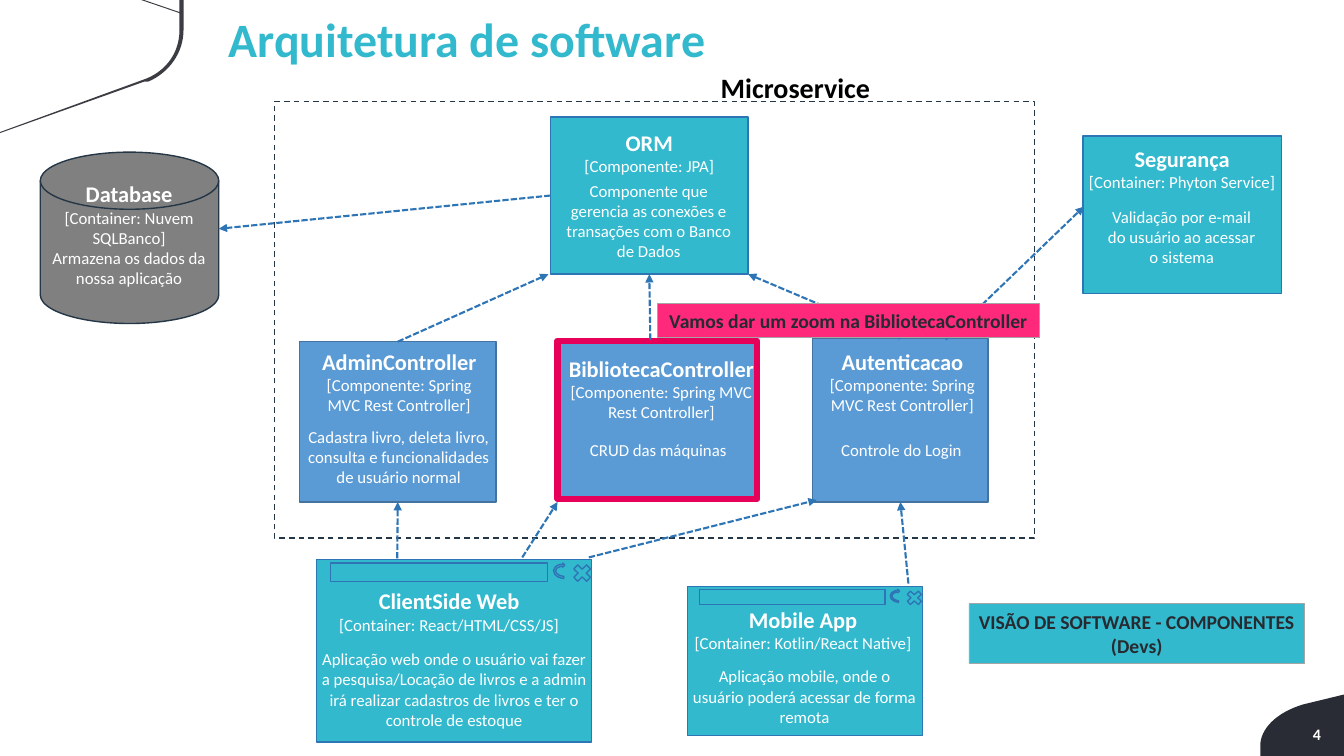
from dataclasses import dataclass
from typing import NamedTuple, Optional

from lxml.etree import SubElement
from pptx import Presentation
from pptx.dml.color import RGBColor
from pptx.enum.dml import MSO_LINE_DASH_STYLE as Dash
from pptx.enum.shapes import MSO_CONNECTOR, MSO_SHAPE as Preset
from pptx.enum.text import MSO_ANCHOR as Anchor, PP_ALIGN as Align
from pptx.oxml.ns import qn
from pptx.util import Inches, Pt

COLORS = {
    "teal": "32B9CD", "blue": "5B9BD5", "gray": "808080", "pink": "FF297B",
    "edge": "2E75B6", "blue edge": "43739E", "pink edge": "E6005A",
    "navy": "253746", "silver": "A5A5A5", "dark": "272A30",
    "corner": "292C34", "ribbon": "3B3D42", "white": "FFFFFF", "black": "000000",
}
CELL = Inches(0.1)  # the page is a grid of 133.3 columns by 75 rows
TOP, LEFT, BOTTOM = 0, 1, 2


class Point(NamedTuple):
    column: float
    row: float


class Area(NamedTuple):
    column: float
    row: float
    columns: float
    rows: float

    def share(self, x: float, y: float, width: float, height: float) -> "Area":
        """Area inside this one, given as shares of its size."""
        return Area(self.column + x * self.columns, self.row + y * self.rows,
                    width * self.columns, height * self.rows)


class Style(NamedTuple):
    size: float
    color: str = "white"
    bold: bool = False


class Line(NamedTuple):
    text: str
    style: Style


@dataclass
class Component:
    name: str
    technology: str
    detail: str
    panel: Area
    heading: Area
    body: Area
    fill: str = "teal"
    edge: str = "edge"
    edge_width: float = 1
    window: bool = False


@dataclass
class Arrow:
    start: Point
    end: Point
    source: Optional[tuple[str, int]] = None
    target: Optional[tuple[str, int]] = None


NAME, NOTE = Style(16, bold=True), Style(12)
LABEL = Style(14, "dark", True)
SPRING = "[Componente: Spring MVC Rest Controller]"

COMPONENTS = [
    Component("Segurança", "[Container: Phyton Service]",
              "Validação por e-mail do usuário ao acessar o sistema",
              Area(107.4, 13.5, 19.7, 15.6), Area(106.4, 13.9, 21.7, 5.7),
              Area(108.6, 20, 17.2, 7.1)),
    Component("ORM", "[Componente: JPA]",
              "Componente que gerencia as conexões e transações com o Banco de Dados",
              Area(54.6, 11.6, 19.6, 15.6), Area(52.9, 12.3, 23, 5.7),
              Area(55, 17.4, 18.7, 9.1)),
    Component("AdminController", SPRING,
              "Cadastra livro, deleta livro, consulta e funcionalidades de usuário normal",
              Area(29.7, 33.9, 19.5, 15.9), Area(30.6, 34, 18, 7.2),
              Area(29.3, 41.8, 20.5, 6.6), "blue", "blue edge"),
    Component("Autenticacao", SPRING, "Controle do Login",
              Area(80.6, 33.6, 17.4, 16.2), Area(80.1, 34, 18.8, 8.1),
              Area(80, 43.1, 18.8, 3.2), "blue", "blue edge"),
    Component("BibliotecaController", SPRING, "CRUD das máquinas",
              Area(55.3, 33.8, 19.8, 15.7), Area(54.9, 34.7, 21.4, 7.7),
              Area(54.6, 43.1, 21.4, 3), "blue", "pink edge", 4.5),
    Component("ClientSide Web", "[Container: React/HTML/CSS/JS]",
              "Aplicação web onde o usuário vai fazer a pesquisa/Locação de livros "
              "e a admin irá realizar cadastros de livros e ter o controle de estoque",
              Area(31.4, 55.5, 27.3, 18.1), Area(30.3, 57.8, 28.5, 4.6),
              Area(30.8, 63.9, 28.5, 7.4), window=True),
    Component("Mobile App", "[Container: Kotlin/React Native]",
              "Aplicação mobile, onde o usuário poderá acessar de forma remota",
              Area(68.2, 58.2, 23.3, 14.8), Area(66.6, 59.6, 26.1, 5.1),
              Area(67.7, 65.6, 24.2, 4.7), window=True),
]

ARROWS = [
    Arrow(Point(54.6, 19.4), Point(21.7, 22.7), source=("ORM", LEFT)),
    Arrow(Point(93.8, 33.7), Point(107.5, 20.5)),
    Arrow(Point(39.5, 33.9), Point(54.4, 27.2), source=("AdminController", TOP)),
    Arrow(Point(64.5, 33.7), Point(64.4, 27.2), target=("ORM", BOTTOM)),
    Arrow(Point(89.3, 33.6), Point(74.2, 27.2), source=("Autenticacao", TOP)),
    Arrow(Point(39.4, 55.4), Point(39.5, 49.8), target=("AdminController", BOTTOM)),
    Arrow(Point(51.8, 55.3), Point(55.3, 49.8)),
    Arrow(Point(58.4, 55.3), Point(81, 49.6)),
    Arrow(Point(90.1, 57.9), Point(89.3, 49.8), target=("Autenticacao", BOTTOM)),
]


def color(name: str) -> RGBColor:
    return RGBColor.from_string(COLORS[name])


def grid(*cells: float) -> list[int]:
    return [round(cell * CELL) for cell in cells]


def write(frame, lines: list[Line], align=Align.CENTER, anchor=Anchor.TOP) -> None:
    frame.word_wrap = True
    frame.vertical_anchor = anchor
    frame.text = "\n".join(line.text for line in lines)
    for para, line in zip(frame.paragraphs, lines):
        para.alignment = align
        for span in para.runs:
            span.font.name = "Calibri"
            span.font.size = Pt(line.style.size)
            span.font.bold = line.style.bold
            span.font.color.rgb = color(line.style.color)


def add_text(page, area: Area, lines: list[Line], align=Align.CENTER):
    box = page.shapes.add_textbox(*grid(*area))
    write(box.text_frame, lines, align)
    return box


def paint(shape, fill: Optional[str], edge: Optional[str], width: float = 1) -> None:
    shape.shadow.inherit = False
    if fill:
        shape.fill.solid()
        shape.fill.fore_color.rgb = color(fill)
    else:
        shape.fill.background()
    if edge:
        shape.line.color.rgb = color(edge)
        shape.line.width = Pt(width)
    else:
        shape.line.fill.background()


def add_panel(page, area: Area, fill: Optional[str], edge: str, width: float = 1,
              preset=Preset.RECTANGLE):
    panel = page.shapes.add_shape(preset, *grid(*area))
    paint(panel, fill, edge, width)
    return panel


def add_banner(page, area: Area, fill: str, texts: list[str]) -> None:
    banner = add_panel(page, area, fill, "silver", 0.5)
    write(banner.text_frame, [Line(text, LABEL) for text in texts], anchor=Anchor.MIDDLE)


def add_component(page, item: Component):
    panel = add_panel(page, item.panel, item.fill, item.edge, item.edge_width)
    if item.window:
        add_panel(page, item.panel.share(0.05, 0.02, 0.79, 0.1), None, "edge")
        add_panel(page, item.panel.share(0.92, 0.01, 0.09, 0.13), None, "edge",
                  preset=Preset.MATH_MULTIPLY)
        reload_icon = add_panel(page, item.panel.share(0.87, 0, 0.06, 0.13), None,
                                "edge", preset=Preset.CIRCULAR_ARROW)
        reload_icon.rotation = 275
    add_text(page, item.heading, [Line(item.name, NAME), Line(item.technology, NOTE)])
    add_text(page, item.body, [Line(item.detail, NOTE)])
    return panel


def add_arrow(page, arrow: Arrow, panels: dict) -> None:
    link = page.shapes.add_connector(MSO_CONNECTOR.STRAIGHT, *grid(*arrow.start, *arrow.end))
    if arrow.source:
        link.begin_connect(panels[arrow.source[0]], arrow.source[1])
    if arrow.target:
        link.end_connect(panels[arrow.target[0]], arrow.target[1])
    link.line.color.rgb = color("edge")
    link.line.width = Pt(1.5)
    link.line.dash_style = Dash.SQUARE_DOT
    properties = link._element.spPr
    SubElement(properties.find(qn("a:ln")), qn("a:tailEnd"), type="triangle")
    SubElement(properties, qn("a:effectLst"))


def curve(*controls: tuple[float, float], steps: int = 16) -> list[Point]:
    """Points along a cubic Bézier curve."""
    points = []
    for step in range(steps + 1):
        t = step / steps
        weights = ((1 - t) ** 3, 3 * t * (1 - t) ** 2, 3 * t * t * (1 - t), t ** 3)
        points.append(Point(*(sum(w * c for w, c in zip(weights, axis))
                              for axis in zip(*controls))))
    return points


def add_outline(page, points: list, fill: str) -> None:
    start, *others = [grid(*point) for point in points]
    builder = page.shapes.build_freeform(*start)
    builder.add_line_segments(others, close=True)
    paint(builder.convert_to_shape(), fill, None)


def add_corners(page) -> None:
    add_outline(page, [(133.3, 68.9),
                       *curve((129.2, 69.9), (126.6, 70.7), (125, 72.3), (125, 74)),
                       (125, 75), (133.3, 75)], "corner")
    add_outline(page, [(0, 13.2), (14.3, 8.1),
                       *curve((14.7, 8.1), (16.8, 7.2), (18.2, 5.2), (18.2, 3)),
                       (18.2, 0), (17.8, 0), (17.8, 1.2), (14.3, 0), (14, 0), (17.8, 1.3),
                       *curve((17.8, 3), (17.8, 5.2), (16.5, 7), (14.5, 7.8)),
                       (0, 13.1)], "ribbon")


def add_title(page) -> None:
    title = page.shapes.title
    title.left, title.top, title.width, title.height = grid(21.7, 1.1, 106.9, 7.6)
    write(title.text_frame, [Line("Arquitetura de software", Style(34.2, "teal", True))],
          Align.LEFT)
    title.text_frame.paragraphs[0].line_spacing = 0.9


def main() -> None:
    deck = Presentation()
    deck.slide_width, deck.slide_height = grid(133.3, 75)
    page = deck.slides.add_slide(deck.slide_layouts[5])
    add_corners(page)
    number = add_text(page, Area(125, 71.8, 6.2, 2.1),
                      [Line("4", Style(11.4, bold=True))], Align.RIGHT).text_frame
    number.margin_left = number.margin_right = Inches(0.02)
    number.margin_top = number.margin_bottom = Inches(0.01)
    add_title(page)

    add_panel(page, Area(4, 15.1, 17.7, 17), "gray", "navy",
              preset=Preset.FLOWCHART_MAGNETIC_DISK)
    add_text(page, Area(2.2, 17.4, 21.2, 11.8),
             [Line("Database", NAME), Line("[Container: Nuvem SQLBanco]", NOTE),
              Line("Armazena os dados da nossa aplicação", NOTE)])
    service = add_panel(page, Area(27.2, 10.1, 75.4, 43.3), None, "navy")
    service.line.dash_style = Dash.DASH
    add_text(page, Area(70.5, 6.5, 17, 4.4),
             [Line("Microservice", Style(20, "black", True))], Align.LEFT)

    panels = {item.name: add_component(page, item) for item in COMPONENTS}
    for arrow in ARROWS:
        add_arrow(page, arrow, panels)
    add_banner(page, Area(96.1, 59.9, 33.3, 5.9), "teal",
               ["VISÃO DE SOFTWARE - COMPONENTES", "(Devs)"])
    add_banner(page, Area(65.2, 30.1, 37.9, 3.4), "pink",
               ["Vamos dar um zoom na BibliotecaController"])
    deck.save("out.pptx")


if __name__ == "__main__":
    main()
